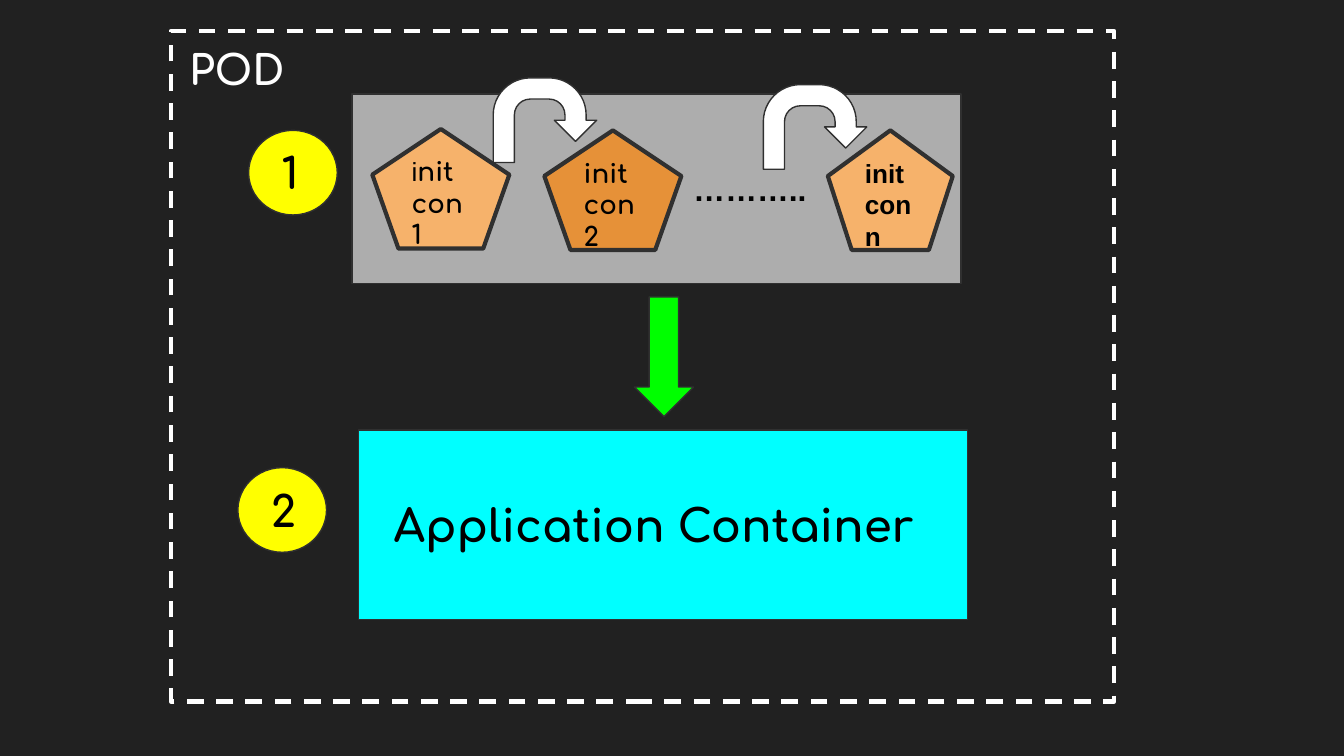
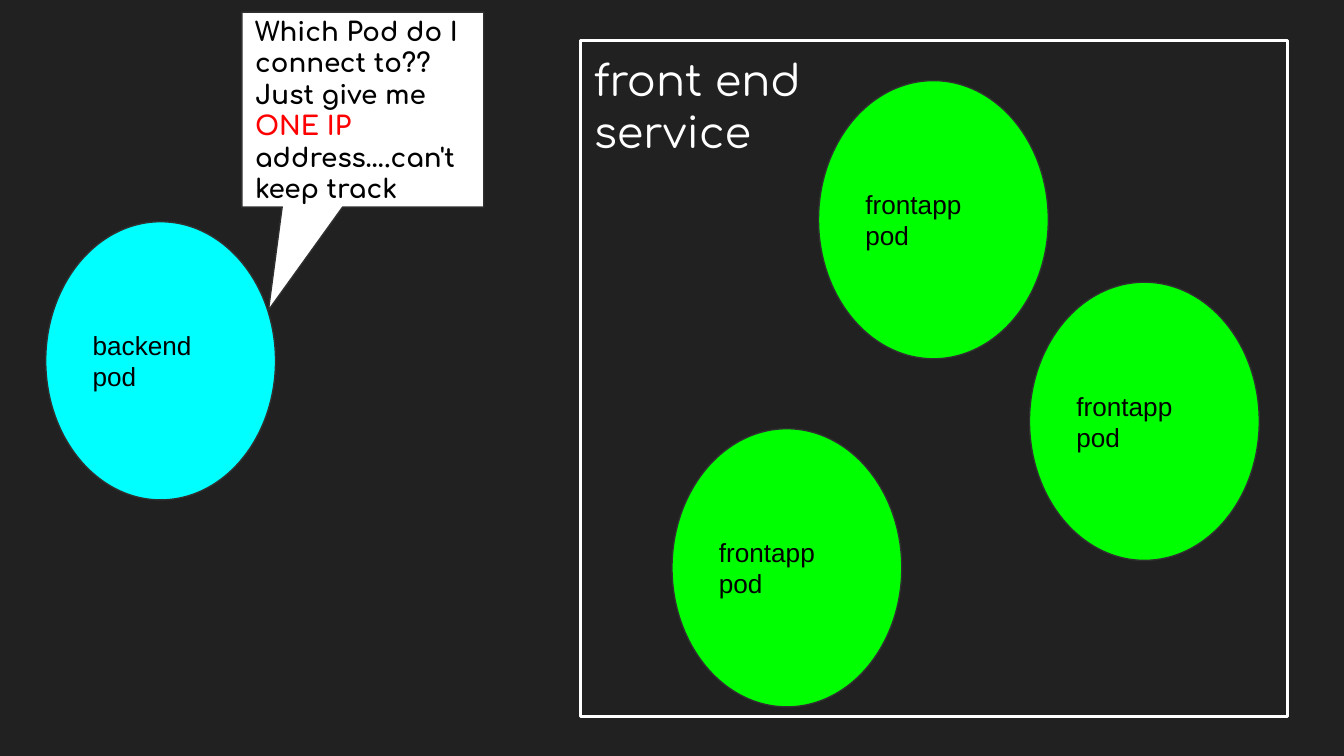
from dataclasses import dataclass

from pptx import Presentation
from pptx.dml.color import RGBColor
from pptx.enum.dml import MSO_LINE
from pptx.enum.shapes import MSO_SHAPE
from pptx.enum.text import MSO_ANCHOR, PP_ALIGN
from pptx.util import Inches, Pt

RECT = MSO_SHAPE.RECTANGLE
OVAL = MSO_SHAPE.OVAL
PENTA = MSO_SHAPE.REGULAR_PENTAGON
DOWN = MSO_SHAPE.DOWN_ARROW
TURN = MSO_SHAPE.U_TURN_ARROW
CALLOUT = MSO_SHAPE.RECTANGULAR_CALLOUT
DASH = MSO_LINE.DASH
TOP, MIDDLE = MSO_ANCHOR.TOP, MSO_ANCHOR.MIDDLE
LEFT = PP_ALIGN.LEFT


@dataclass(frozen=True)
class Theme:
    back: str = "212121"
    edge: str = "303030"
    white: str = "FFFFFF"
    black: str = "000000"
    gray: str = "ADADAD"
    cyan: str = "00FFFF"
    green: str = "00FF00"
    yellow: str = "FFFF00"
    red: str = "FF0000"
    peach: str = "F6B26B"
    orange: str = "E69138"
    plain: str = "Arial"
    round: str = "Comfortaa"
    body: int = 14
    dots: int = 17
    label: int = 22
    title: int = 23
    large: int = 24
    thin: float = 0.75
    frame: float = 1.5
    thick: float = 2.25
    inset: float = 0.1


T = Theme()


def rgb(code):
    return RGBColor.from_string(code)


def write(shape, paras, size=T.body, font=T.plain, color=T.black, bold=False,
          anchor=MIDDLE, indent=T.inset):
    """Fill a shape with paragraphs; a run is a string or (string, overrides)."""
    frame = shape.text_frame
    frame.word_wrap = True
    frame.vertical_anchor = anchor
    frame.margin_left = Inches(indent)
    frame.margin_top = frame.margin_right = frame.margin_bottom = Inches(T.inset)
    base = {"font": font, "color": color, "bold": bold}
    for i, runs in enumerate(paras):
        para = frame.add_paragraph() if i else frame.paragraphs[0]
        para.alignment = LEFT
        for item in [runs] if isinstance(runs, str) else runs:
            words, extra = (item, {}) if isinstance(item, str) else item
            look = {**base, **extra}
            run = para.add_run()
            run.text = words
            run.font.size = Pt(size)
            run.font.name = look["font"]
            run.font.bold = look["bold"]
            run.font.color.rgb = rgb(look["color"])


def draw(slide, kind, box, fill=None, line=T.edge, width=T.thin, dash=None):
    shape = slide.shapes.add_shape(kind, *map(Inches, box))
    shape.shadow.inherit = False
    if fill:
        shape.fill.solid()
        shape.fill.fore_color.rgb = rgb(fill)
    else:
        shape.fill.background()
    shape.line.color.rgb = rgb(line)
    shape.line.width = Pt(width)
    if dash:
        shape.line.dash_style = dash
    return shape


def start(deck):
    slide = deck.slides.add_slide(deck.slide_layouts[6])
    slide.background.fill.solid()
    slide.background.fill.fore_color.rgb = rgb(T.back)
    return slide


def badge(slide, x, y, digit):
    disc = draw(slide, OVAL, (x, y, 0.66, 0.63), T.yellow)
    write(disc, [digit], size=T.title, font=T.round, bold=True, indent=0.15)


def step(slide, x, y, wide, fill, paras, **look):
    """Draw one init container."""
    cell = draw(slide, PENTA, (x, y, wide, 0.89), fill, width=T.thick)
    write(cell, paras, bold=True, **look)


def pod(slide, x, y, fill, paras):
    write(draw(slide, OVAL, (x, y, 1.71, 2.07), fill), paras)


def init_slide(deck):
    slide = start(deck)
    draw(slide, RECT, (1.27, 0.23, 7.02, 4.99),
         line=T.white, width=T.thick, dash=DASH)
    band = draw(slide, RECT, (2.62, 0.7, 4.53, 1.41), T.gray)
    write(band, ["……….."], size=T.dots, bold=True, indent=2.54)
    app = draw(slide, RECT, (2.67, 3.2, 4.53, 1.41), T.cyan)
    write(app, ["Application Container"], size=T.large, font=T.round,
          bold=True, indent=0.26)

    first = [("i", {"font": T.plain, "bold": False}), "nit"]
    step(slide, 2.77, 0.96, 1.02, T.peach, [first, "con1"], font=T.round)
    step(slide, 4.05, 0.97, 1.02, T.orange, ["init con", "2"], font=T.round)
    step(slide, 6.16, 0.97, 0.93, T.peach, ["init", "con", "n"])

    badge(slide, 1.85, 0.97, "1")
    badge(slide, 1.77, 3.48, "2")
    draw(slide, DOWN, (4.72, 2.21, 0.44, 0.89), T.green)
    label = slide.shapes.add_textbox(*map(Inches, (1.31, 0.23, 0.93, 0.57)))
    write(label, ["POD"], size=T.label, font=T.round, color=T.white,
          bold=True, anchor=TOP)
    for x, y in ((3.67, 0.58), (5.68, 0.63)):
        draw(slide, TURN, (x, y, 0.77, 0.63), T.white)


def service_slide(deck):
    slide = start(deck)
    group = draw(slide, RECT, (4.32, 0.3, 5.26, 5.03),
                 line=T.white, width=T.frame)
    write(group, ["front end", "service"], size=T.title, font=T.round,
          color=T.white, anchor=TOP)

    pod(slide, 0.34, 1.65, T.cyan, ["backend", "pod"])
    pod(slide, 6.09, 0.6, T.green, ["frontapp pod"])
    for x, y in ((7.66, 2.1), (5, 3.19)):
        pod(slide, x, y, T.green, ["frontapp", "pod"])

    speech = draw(slide, CALLOUT, (1.8, 0.09, 1.8, 1.45), T.white)
    speech.adjustments[0] = -0.39
    speech.adjustments[1] = 1.03
    write(speech, ["Which Pod do I connect to??",
                   ["Just give me ", ("ONE IP ", {"color": T.red}),
                    "address….can't keep track"]],
          font=T.round, bold=True)


def main():
    deck = Presentation()
    deck.slide_width = Inches(10)
    deck.slide_height = deck.slide_width * 9 // 16
    init_slide(deck)
    service_slide(deck)
    deck.save("out.pptx")


if __name__ == "__main__":
    main()
